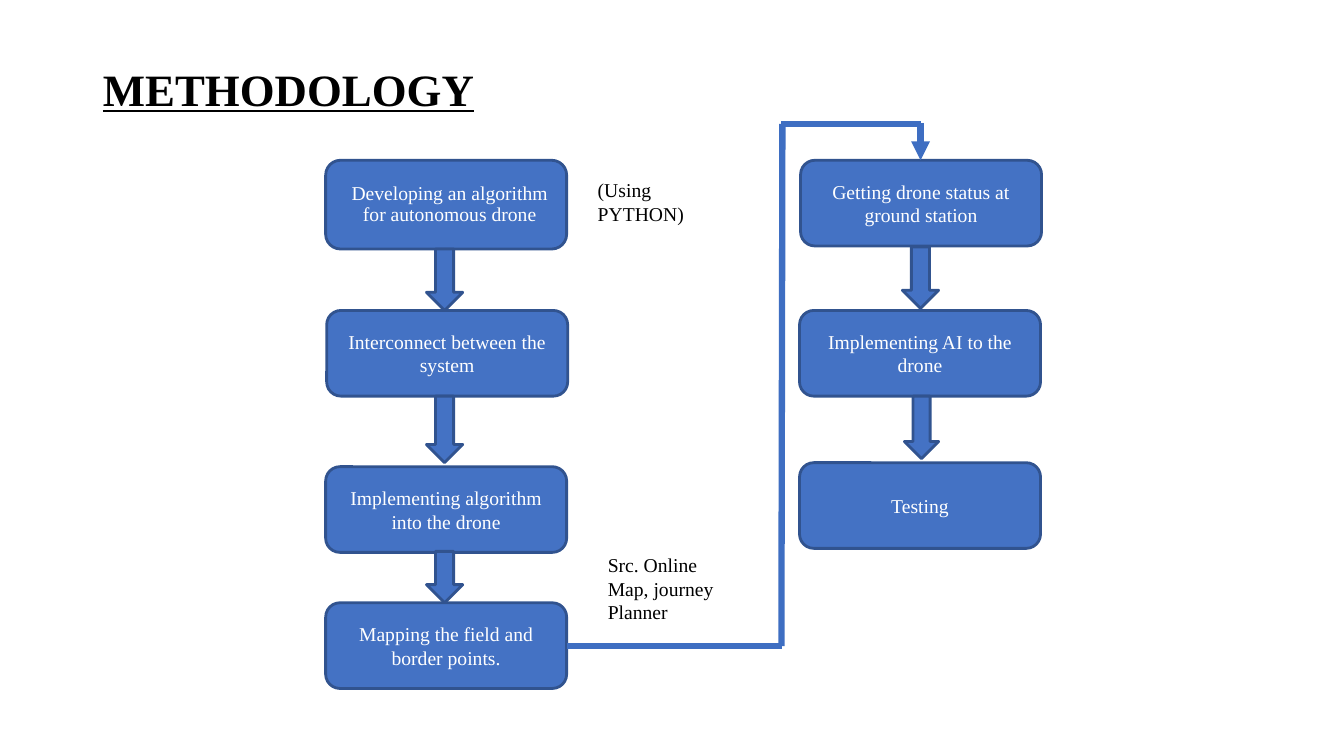
"""Builds the METHODOLOGY slide: a two-column drone workflow joined by arrows."""
from dataclasses import dataclass

from lxml import etree
from pptx import Presentation
from pptx.dml.color import RGBColor
from pptx.enum.shapes import MSO_CONNECTOR, MSO_SHAPE
from pptx.enum.text import MSO_ANCHOR, MSO_AUTO_SIZE, PP_ALIGN
from pptx.oxml.ns import qn
from pptx.util import Inches, Pt

ROUNDED = MSO_SHAPE.ROUNDED_RECTANGLE
DOWN_ARROW = MSO_SHAPE.DOWN_ARROW
STRAIGHT = MSO_CONNECTOR.STRAIGHT
MIDDLE = MSO_ANCHOR.MIDDLE
LEFT, CENTER = PP_ALIGN.LEFT, PP_ALIGN.CENTER
NO_FIT = MSO_AUTO_SIZE.NONE
TITLE_ONLY = 5


@dataclass(frozen=True)
class Theme:
    font: str = "Times New Roman"
    title_size: Pt = Pt(32)
    body_size: Pt = Pt(14)
    ink: RGBColor = RGBColor(0, 0, 0)
    white: RGBColor = RGBColor(255, 255, 255)
    fill: RGBColor = RGBColor(0x44, 0x72, 0xC4)
    outline: RGBColor = RGBColor(0x31, 0x53, 0x8F)
    route: RGBColor = RGBColor(0x3E, 0x6E, 0xC2)


theme = Theme()


def add_block(page, kind, left, top, width, height):
    """Add a filled, outlined shape of the flowchart."""
    block = page.shapes.add_shape(
        kind, Inches(left), Inches(top), Inches(width), Inches(height))
    block.shadow.inherit = False
    block.fill.solid()
    block.fill.fore_color.rgb = theme.fill
    block.line.color.rgb = theme.outline
    block.line.width = Pt(2)
    return block


def write(shape, text, size, color, align):
    """Put one wrapped paragraph into a shape and return it."""
    frame = shape.text_frame
    frame.text = text
    frame.word_wrap = True
    frame.auto_size = NO_FIT
    para = frame.paragraphs[0]
    para.alignment = align
    para.font.name = theme.font
    para.font.size = size
    para.font.color.rgb = color
    return para


deck = Presentation()
deck.slide_width, deck.slide_height = Inches(13.33), Inches(7.5)
page = deck.slides.add_slide(deck.slide_layouts[TITLE_ONLY])

title = page.shapes.title
title.left, title.top = Inches(0.92), Inches(0.4)
title.width, title.height = Inches(11.5), Inches(1.02)
title_para = write(title, "METHODOLOGY", theme.title_size, theme.ink, LEFT)
title.text_frame.vertical_anchor = MIDDLE
title_para.line_spacing = 0.9
title_para.font.bold = True
title_para.font.underline = True

steps = [
    ("Developing an algorithm for autonomous drone", 3.23, 1.59, 0.88),
    ("Interconnect between the system", 3.24, 3.08, 0.85),
    ("Implementing algorithm into the drone", 3.23, 4.63, 0.85),
    ("Mapping the field and border points.", 3.23, 5.98, 0.85),
    ("Getting drone status at ground station", 7.94, 1.59, 0.85),
    ("Implementing AI to the drone", 7.93, 3.08, 0.85),
    ("Testing", 7.93, 4.59, 0.85),
]
step_paras = []
for text, left, top, height in steps:
    box = add_block(page, ROUNDED, left, top, 2.39, height)
    box.text_frame.vertical_anchor = MIDDLE
    step_paras.append(write(box, text, theme.body_size, theme.white, CENTER))
    if len(step_paras) == 1:
        box.text_frame.margin_left = Inches(0.17)
step_paras[0].line_spacing = 0.9

arrows = [
    (4.23, 2.47, 0.36, 0.61),
    (4.23, 3.93, 0.36, 0.66),
    (4.23, 5.47, 0.36, 0.51),
    (8.95, 2.45, 0.36, 0.61),
    (8.97, 3.93, 0.34, 0.62),
]
for place in arrows:
    add_block(page, DOWN_ARROW, *place)

route = [
    (5.62, 6.41, 7.76, 6.41),
    (7.75, 6.41, 7.76, 1.23),
    (7.75, 1.23, 9.13, 1.23),
    (9.13, 1.22, 9.13, 1.59),
]
for ends in route:
    connector = page.shapes.add_connector(STRAIGHT, *map(Inches, ends))
    connector.line.color.rgb = theme.route
    connector.line.width = Pt(4.5)
    properties = connector._element.spPr
    etree.SubElement(properties, qn("a:effectLst"))
etree.SubElement(properties.find(qn("a:ln")), qn("a:tailEnd"), type="triangle")

notes = [
    ("(Using PYTHON)", 5.83, 1.72, 1.35, 0.57),
    ("Src. Online Map, journey Planner", 5.93, 5.44, 1.5, 0.81),
]
for text, *place in notes:
    note = page.shapes.add_textbox(*map(Inches, place))
    write(note, text, theme.body_size, theme.ink, LEFT)

deck.save("out.pptx")
